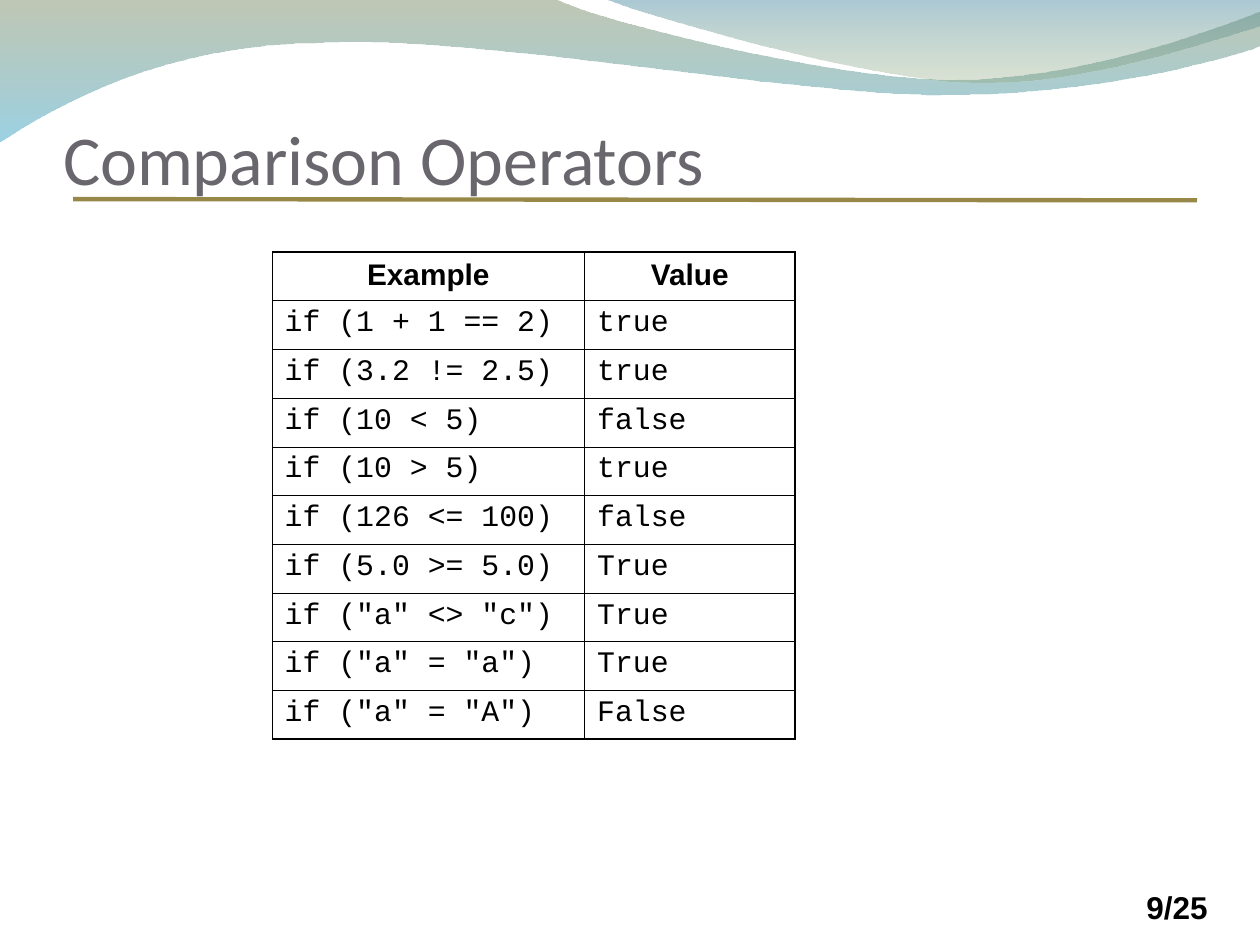
from dataclasses import dataclass
from typing import NamedTuple

from pptx import Presentation
from pptx import util as u
from pptx.dml.color import RGBColor
from pptx.enum import shapes, text
from pptx.oxml import ns
from lxml import etree


@dataclass(frozen=True)
class Theme:
    ink: str = "000000"
    heading: str = "69676D"
    rule: str = "988848"
    heading_font: str = "Calibri"
    label_font: str = "Arial"
    code_font: str = "Courier New"
    heading_size: float = 40
    page_size: float = 18
    table_size: float = 17
    rule_width: float = 2.5
    inner_border: float = 0.45
    outer_border: float = 1.08


class Stop(NamedTuple):
    color: str
    opacity: int  # percent


class Wave(NamedTuple):
    start: tuple
    segments: list  # one point: straight line; three points: Bezier curve
    top: Stop
    bottom: Stop


class Comparison(NamedTuple):
    example: str
    value: str


THEME = Theme()

WAVES = [
    Wave((0, -0.01),
         [[(4.4, -0.01)],
          [(4.76, 0.17), (6.64, 0.63), (7.58, 0.63)],
          [(8.53, 0.63), (9.58, 0.26), (10, 0.09)],
          [(10.01, 0.36)],
          [(9.83, 0.44), (8.7, 0.76), (7.46, 0.75)],
          [(6.22, 0.75), (3.82, 0.28), (2.57, 0.34)],
          [(1.29, 0.35), (0.46, 0.83), (-0.01, 1.13)],
          [(0, -0.01)]],
         Stop("72845C", 45), Stop("49ACCD", 55)),
    Wave((4.79, -0.01),
         [[(5.09, 0.11), (6.82, 0.62), (7.69, 0.65)],
          [(8.56, 0.69), (9.61, 0.32), (10, 0.21)],
          [(10, 0)],
          [(4.79, -0.01)]],
         Stop("42869E", 45), Stop("8AA26C", 30)),
]

HEADER = Comparison("Example", "Value")
COMPARISONS = [
    Comparison("if (1 + 1 == 2)", "true"),
    Comparison("if (3.2 != 2.5)", "true"),
    Comparison("if (10 < 5)", "false"),
    Comparison("if (10 > 5)", "true"),
    Comparison("if (126 <= 100)", "false"),
    Comparison("if (5.0 >= 5.0)", "True"),
    Comparison('if ("a" <> "c")', "True"),
    Comparison('if ("a" = "a")', "True"),
    Comparison('if ("a" = "A")', "False"),
]


def add_run(paragraph, words: str, font: str, size: float, color: str,
            bold: bool = False) -> None:
    run = paragraph.add_run()
    run.text = words
    run.font.name = font
    run.font.size = u.Pt(size)
    run.font.bold = bold
    run.font.color.rgb = RGBColor.from_string(color)


def bend_segments(band, segments: list) -> None:
    """Join each run of three straight lines that stands for a curve."""
    lines = iter(list(band.element.iter(ns.qn("a:lnTo"))))
    for segment in segments:
        group = [next(lines) for _ in segment]
        if len(group) == 3:
            curve = etree.Element(ns.qn("a:cubicBezTo"))
            group[0].addprevious(curve)
            for line in group:
                curve.append(line[0])
                line.getparent().remove(line)


def draw_wave(slide, wave: Wave) -> None:
    points = [wave.start] + [point for segment in wave.segments for point in segment]
    outline = [(u.Inches(x), u.Inches(y)) for x, y in points]
    builder = slide.shapes.build_freeform(*outline[0])
    builder.add_line_segments(outline[1:], close=True)
    band = builder.convert_to_shape()
    bend_segments(band, wave.segments)
    band.shadow.inherit = False
    band.line.fill.background()
    band.fill.gradient()
    band.fill.gradient_angle = 270  # top to bottom
    tints = (wave.top, wave.bottom)
    for stop, tint in zip(band.fill.gradient_stops, tints):
        stop.color.rgb = RGBColor.from_string(tint.color)
    for color, tint in zip(band.element.spPr.iter(ns.qn("a:srgbClr")), tints):
        etree.SubElement(color, ns.qn("a:alpha"), val=str(tint.opacity * 1000))


def draw_rule(slide) -> None:
    rule = slide.shapes.add_connector(
        shapes.MSO_CONNECTOR.STRAIGHT,
        u.Inches(0.58), u.Inches(1.58), u.Inches(9.5), u.Inches(1.59))
    rule.line.color.rgb = RGBColor.from_string(THEME.rule)
    rule.line.width = u.Pt(THEME.rule_width)
    etree.SubElement(rule.element.spPr, ns.qn("a:effectLst"))


def draw_page_number(slide, label: str) -> None:
    page = slide.shapes.add_textbox(u.Inches(9), u.Inches(7), u.Inches(0.92), u.Inches(1))
    page.text_frame.word_wrap = True
    page.text_frame.auto_size = text.MSO_AUTO_SIZE.SHAPE_TO_FIT_TEXT
    add_run(page.text_frame.paragraphs[0], label, THEME.label_font,
            THEME.page_size, THEME.ink, bold=True)


def place_title(slide, words: str) -> None:
    title = slide.shapes.title
    title.left, title.top = u.Inches(0.5), u.Inches(0.33)
    title.width, title.height = u.Inches(9), u.Inches(1.25)
    frame = title.text_frame
    frame.auto_size = text.MSO_AUTO_SIZE.NONE
    frame.vertical_anchor = text.MSO_ANCHOR.BOTTOM
    frame.margin_left = frame.margin_right = frame.margin_bottom = 0
    frame.margin_top = u.Inches(0.05)
    heading = frame.paragraphs[0]
    heading.alignment = text.PP_ALIGN.LEFT
    add_run(heading, words, THEME.heading_font, THEME.heading_size, THEME.heading)
    title.element.getparent().append(title.element)  # in front of the waves


def set_borders(cell, widths: dict) -> None:
    properties = cell._tc.get_or_add_tcPr()
    for index, (side, width) in enumerate(widths.items()):
        border = etree.Element(ns.qn(f"a:ln{side}"), w=str(u.Pt(width)))
        fill = etree.SubElement(border, ns.qn("a:solidFill"))
        etree.SubElement(fill, ns.qn("a:srgbClr"), val=THEME.ink)
        properties.insert(index, border)


def draw_comparisons(slide) -> None:
    rows = [HEADER, *COMPARISONS]
    widths = (u.Inches(2.48), u.Inches(1.67))
    height = u.Inches(3.87)
    table = slide.shapes.add_table(len(rows), len(widths), u.Inches(2.16), u.Inches(2),
                                   sum(widths), height).table
    table.first_row = table.horz_banding = False
    for column, width in zip(table.columns, widths):
        column.width = width
    inner, outer = THEME.inner_border, THEME.outer_border
    for r, row in enumerate(rows):
        table.rows[r].height = height // len(rows)
        is_header = r == 0
        for c, words in enumerate(row):
            cell = table.cell(r, c)
            cell.fill.background()
            set_borders(cell, {
                "L": inner,
                "R": outer if c == len(row) - 1 else inner,
                "T": outer if is_header else inner,
                "B": outer if r == len(rows) - 1 else inner,
            })
            entry = cell.text_frame.paragraphs[0]
            entry.alignment = text.PP_ALIGN.CENTER if is_header else text.PP_ALIGN.LEFT
            add_run(entry, words, THEME.label_font if is_header else THEME.code_font,
                    THEME.table_size, THEME.ink, bold=is_header)


def main() -> None:
    deck = Presentation()
    deck.slide_width, deck.slide_height = u.Inches(10), u.Inches(7.5)
    slide = deck.slides.add_slide(deck.slide_layouts.get_by_name("Title Only"))

    # Decoration
    for wave in WAVES:
        draw_wave(slide, wave)
    draw_rule(slide)
    draw_page_number(slide, "9/25")

    # Content
    place_title(slide, "Comparison Operators")
    draw_comparisons(slide)
    deck.save("out.pptx")


if __name__ == "__main__":
    main()
